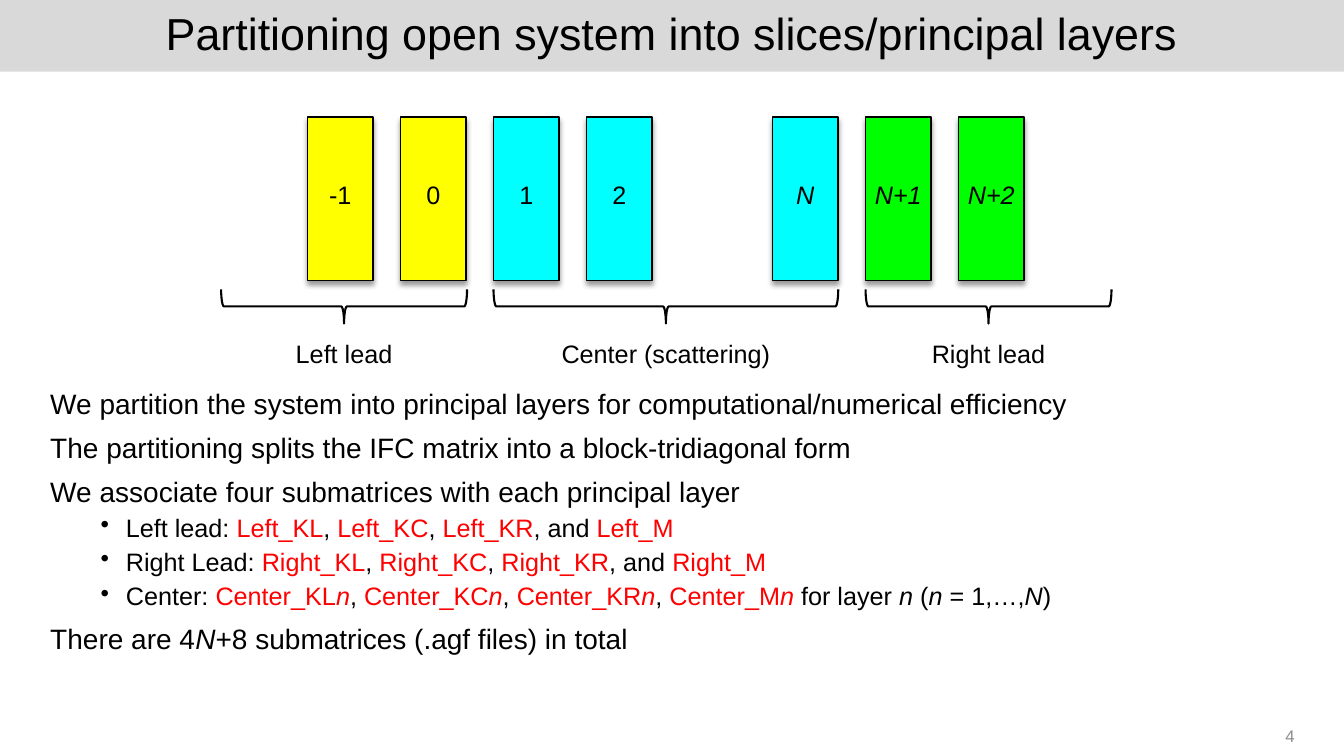
import pptx
import pptx.util
import pptx.dml.color
import pptx.enum.shapes
import pptx.enum.text
import pptx.oxml
import pptx.oxml.ns

SHAPE = pptx.enum.shapes.MSO_SHAPE
ALIGN = pptx.enum.text.PP_ALIGN
ANCHOR = pptx.enum.text.MSO_ANCHOR
FIT = pptx.enum.text.MSO_AUTO_SIZE

COLOURS = {
    "ink": "000000", "band": "D9D9D9", "code": "FF0000", "number": "8C8C8C",
    "left": "FFFF00", "center": "00FFFF", "right": "00FF00",
}
FIRST_LAYER, PITCH, LAYER_WIDTH = 22.88, 6.92, 4.88
LAYERS = [
    (0, "left", "-1", 3.22), (1, "left", "0", 2.55),
    (2, "center", "1", 2.55), (3, "center", "2", 2.55),
    (5, "center", "*N*", 2.85),
    (6, "right", "*N+1*", 5.02), (7, "right", "*N+2*", 5.02),
]
REGIONS = [
    (16.45, 18.3, "Left lead", 8.78),
    (FIRST_LAYER + 2 * PITCH, 25.65, "Center (scattering)", 17.5),
    (FIRST_LAYER + 6 * PITCH, 18.3, "Right lead", 10.05),
]
MAIN = {"size": 20, "before": 10}
SUB = {"size": 18, "before": 5, "bullet": "•"}
BODY = [
    ("We partition the system into principal layers for computational/numerical efficiency", MAIN),
    ("The partitioning splits the IFC matrix into a block-tridiagonal form", MAIN),
    ("We associate four submatrices with each principal layer", MAIN),
    ("Left lead: ~Left_KL~, ~Left_KC~, ~Left_KR~, and ~Left_M~", SUB),
    ("Right Lead: ~Right_KL~, ~Right_KC~, ~Right_KR~, and ~Right_M~", SUB),
    ("Center: ~Center_KL*n*~, ~Center_KC*n*~, ~Center_KR*n*~, ~Center_M*n*~"
     " for layer *n* (*n* = 1,…,*N*)", SUB),
    ("There are 4*N*+8 submatrices (.agf files) in total", MAIN),
]


def colour(name):
    return pptx.dml.color.RGBColor.from_string(COLOURS[name])


def apply(target, values):
    for name, value in values.items():
        setattr(target, name, value)


def xml(tag, content):
    space = pptx.oxml.ns.nsdecls("a")
    return pptx.oxml.parse_xml(f"<a:{tag} {space}>{content}</a:{tag}>")


class Page:
    font = "Arial"

    def __init__(self, deck):
        self.column = deck.slide_width / 100
        self.row = deck.slide_height / 100
        self.shapes = deck.slides.add_slide(deck.slide_layouts[6]).shapes

    def place(self, left, top, width, height):
        return [round(left * self.column), round(top * self.row),
                round(width * self.column), round(height * self.row)]

    def add_spans(self, para, markup, size, ink="ink"):
        for outer, stretch in enumerate(markup.split("~")):
            for inner, words in enumerate(stretch.split("*")):
                if words:
                    span = para.add_run()
                    span.text = words
                    apply(span.font, {"name": self.font, "size": pptx.util.Pt(size),
                                      "italic": inner % 2 == 1})
                    span.font.color.rgb = colour("code" if outer % 2 else ink)

    def rectangle(self, area, fill, outline=None):
        box = self.shapes.add_shape(SHAPE.RECTANGLE, *self.place(*area))
        box.shadow.inherit = False
        box.fill.solid()
        box.fill.fore_color.rgb = colour(fill)
        if outline:
            box.line.color.rgb = colour(outline)
            box.line.width = pptx.util.Pt(1)
        else:
            box.line.fill.background()
        return box

    def title(self, markup):
        box = self.rectangle((0, 0, 100, 9.47), "band")
        apply(box.text_frame, {"word_wrap": True, "vertical_anchor": ANCHOR.MIDDLE})
        para = box.text_frame.paragraphs[0]
        apply(para, {"alignment": ALIGN.CENTER, "line_spacing": 0.9})
        self.add_spans(para, markup, 32)

    def text(self, area, markup, size=18, ink="ink", alignment=ALIGN.CENTER, **frame):
        box = self.shapes.add_textbox(*self.place(*area))
        apply(box.text_frame, {"word_wrap": False, **frame})
        para = box.text_frame.paragraphs[0]
        para.alignment = alignment
        self.add_spans(para, markup, size, ink)

    def label(self, center, top, width, markup):
        self.text((center - width / 2, top, width, 5.33), markup,
                  auto_size=FIT.SHAPE_TO_FIT_TEXT)

    def layer(self, slot, fill):
        area = (FIRST_LAYER + slot * PITCH, 15.47, LAYER_WIDTH, 21.6)
        box = self.rectangle(area, fill, "ink")
        effects = box._element.spPr.find(pptx.oxml.ns.qn("a:effectLst"))
        shadow = xml("outerShdw", '<a:srgbClr val="%s"><a:alpha val="40000"/></a:srgbClr>'
                     % COLOURS["ink"])
        for name, value in {"blurRad": pptx.util.Pt(4), "dist": pptx.util.Pt(3),
                            "dir": 90 * 60000, "rotWithShape": 0}.items():
            shadow.set(name, str(int(value)))
        effects.append(shadow)

    def brace(self, left, width):
        x, y, length, depth = self.place(left, 38.27, width, 4.53)
        shift = (length - depth) // 2
        mark = self.shapes.add_shape(SHAPE.RIGHT_BRACE, x + shift, y - shift, depth, length)
        mark.rotation = 90
        mark.shadow.inherit = False
        mark.fill.background()
        mark.line.color.rgb = colour("ink")
        mark.line.width = pptx.util.Pt(1.5)

    def body(self, area, entries):
        frame = self.shapes.add_textbox(*self.place(*area)).text_frame
        frame.word_wrap = True
        for index, (markup, style) in enumerate(entries):
            para = frame.add_paragraph() if index else frame.paragraphs[0]
            para.line_spacing = 0.9
            if index:
                para.space_before = pptx.util.Pt(style["before"])
            if "bullet" in style:
                para.level = 1
                props = para._p.get_or_add_pPr()
                props.set("marL", str(int(pptx.util.Inches(0.75))))
                props.set("indent", str(int(pptx.util.Inches(-0.25))))
                bullet = xml("buChar", "")
                bullet.set("char", style["bullet"])
                props.append(bullet)
            self.add_spans(para, markup, style["size"])


def main():
    deck = pptx.Presentation()
    apply(deck, {"slide_width": pptx.util.Inches(13.33),
                 "slide_height": pptx.util.Inches(7.5)})
    page = Page(deck)
    page.title("Partitioning open system into slices/principal layers")
    for slot, fill, name, width in LAYERS:
        page.layer(slot, fill)
        page.label(FIRST_LAYER + slot * PITCH + LAYER_WIDTH / 2, 23.07, width, name)
    for left, span, name, width in REGIONS:
        page.brace(left, span)
        page.label(left + span / 2, 44.13, width, name)
    page.body((3, 50.93, 94.07, 42), BODY)
    page.text((74.57, 94.67, 22.5, 5.33), "4", 12, "number", ALIGN.RIGHT,
              word_wrap=True, vertical_anchor=ANCHOR.MIDDLE)
    deck.save("out.pptx")


if __name__ == "__main__":
    main()
